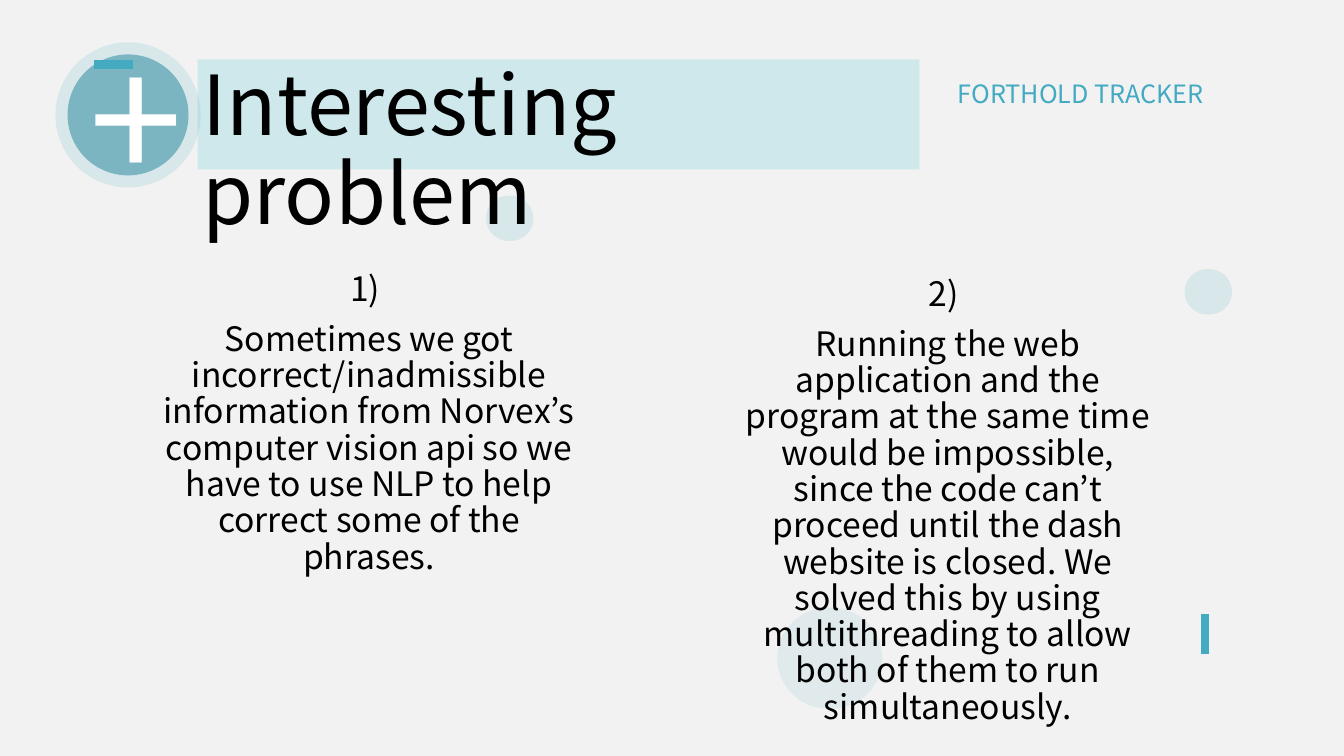
from lxml.etree import SubElement
from pptx import Presentation
from pptx.dml.color import RGBColor
from pptx.enum.shapes import MSO_CONNECTOR, MSO_SHAPE
from pptx.enum.text import MSO_ANCHOR, PP_ALIGN
from pptx.oxml.ns import qn
from pptx.util import Inches, Pt

FONT = "Noto Sans CJK KR"
BACKGROUND, ACCENT, BADGE, BAND = "F2F2F2", "43AAC2", "3991A6", "CEE8EC"
BLACK, WHITE = "000000", "FFFFFF"

HEADER = "FORTHOLD TRACKER"
TITLE = "Interesting problem"
PROBLEMS = [
    ((1.56, 2.65, 4.2, 3.18),
     ["1) ",
      "Sometimes we got incorrect/inadmissible information from Norvex’s "
      "computer vision api so we have to use NLP to help correct some of the "
      "phrases."]),
    ((7.3, 2.7, 4.2, 4.27),
     ["2) ",
      "Running the web application and the program at the same time would be "
      "impossible, since the code can’t proceed until the dash website is "
      "closed. We solved this by using multithreading to allow both of them "
      "to run simultaneously."]),
]
# box, opacity in percent
DOTS = [
    ((4.82, 1.94, 0.47, 0.45), 15),
    ((7.71, 6.03, 1.04, 1), 10),
    ((11.75, 2.67, 0.47, 0.45), 15),
]
# diameter, colour, opacity in percent
BADGE_CENTER = (1.27, 1.14)
BADGE_RINGS = [(1.44, ACCENT, 15), (1.2, BADGE, 58)]
SIDE_DASH = (11.95, 6.09, 11.95, 6.49)
BADGE_DASH = (1.32, 0.64, 0.93, 0.64)


def rgb(color):
    return RGBColor.from_string(color)


def inches(lengths):
    return [Inches(length) for length in lengths]


def add_filled(shapes, kind, box, color, opacity=100):
    shape = shapes.add_shape(kind, *inches(box))
    shape.shadow.inherit = False
    shape.fill.solid()
    shape.fill.fore_color.rgb = rgb(color)
    shape.line.fill.background()
    if opacity < 100:
        fill_color = shape._element.spPr.find(qn("a:solidFill"))[0]
        SubElement(fill_color, qn("a:alpha"), val=str(opacity * 1000))
    return shape


def add_dash(ends):
    dash = slide.shapes.add_connector(MSO_CONNECTOR.STRAIGHT, *inches(ends))
    dash.line.color.rgb = rgb(ACCENT)
    dash.line.width = Pt(6)
    SubElement(dash._element.spPr, qn("a:effectLst"))


def write(shape, lines, size, color, align, anchor=MSO_ANCHOR.TOP, spacing=1.0):
    frame = shape.text_frame
    margin = Inches(0.05)
    frame_format = {
        "word_wrap": True, "vertical_anchor": anchor,
        "margin_left": margin, "margin_right": margin,
        "margin_top": margin, "margin_bottom": margin,
    }
    for name, value in frame_format.items():
        setattr(frame, name, value)
    for index, line in enumerate(lines):
        paragraph = frame.add_paragraph() if index else frame.paragraphs[0]
        paragraph.alignment = align
        paragraph.line_spacing = spacing
        if index:
            paragraph.space_before = Pt(10)
        run = paragraph.add_run()
        run.text = line
        run.font.name = FONT
        run.font.size = Pt(size)
        run.font.color.rgb = rgb(color)


presentation = Presentation()
presentation.slide_width, presentation.slide_height = inches((13.33, 7.5))
slide = presentation.slides.add_slide(presentation.slide_layouts[6])
slide.background.fill.solid()
slide.background.fill.fore_color.rgb = rgb(BACKGROUND)

header = slide.shapes.add_textbox(*inches((8.53, 0.73, 3.46, 0.41)))
write(header, [HEADER], 18, ACCENT, PP_ALIGN.RIGHT)

for box, opacity in DOTS:
    dot = add_filled(slide.shapes, MSO_SHAPE.ROUNDED_RECTANGLE, box, ACCENT, opacity)
    dot.adjustments[0] = 0.5
add_dash(SIDE_DASH)

title = add_filled(slide.shapes, MSO_SHAPE.RECTANGLE, (1.96, 0.59, 7.16, 1.09), BAND)
write(title, [TITLE], 59, BLACK, PP_ALIGN.LEFT, spacing=0.9)

badge = slide.shapes.add_group_shape()
for diameter, color, opacity in BADGE_RINGS:
    left, top = (center - diameter / 2 for center in BADGE_CENTER)
    add_filled(badge.shapes, MSO_SHAPE.OVAL, (left, top, diameter, diameter), color, opacity)
plus = badge.shapes.add_textbox(*inches((0.84, 0.09, 0.85, 2.1)))
write(plus, ["+"], 120, WHITE, PP_ALIGN.CENTER, MSO_ANCHOR.MIDDLE)

for box, lines in PROBLEMS:
    problem = slide.shapes.add_textbox(*inches(box))
    write(problem, lines, 24, BLACK, PP_ALIGN.CENTER, spacing=0.9)
add_dash(BADGE_DASH)

presentation.save("out.pptx")
